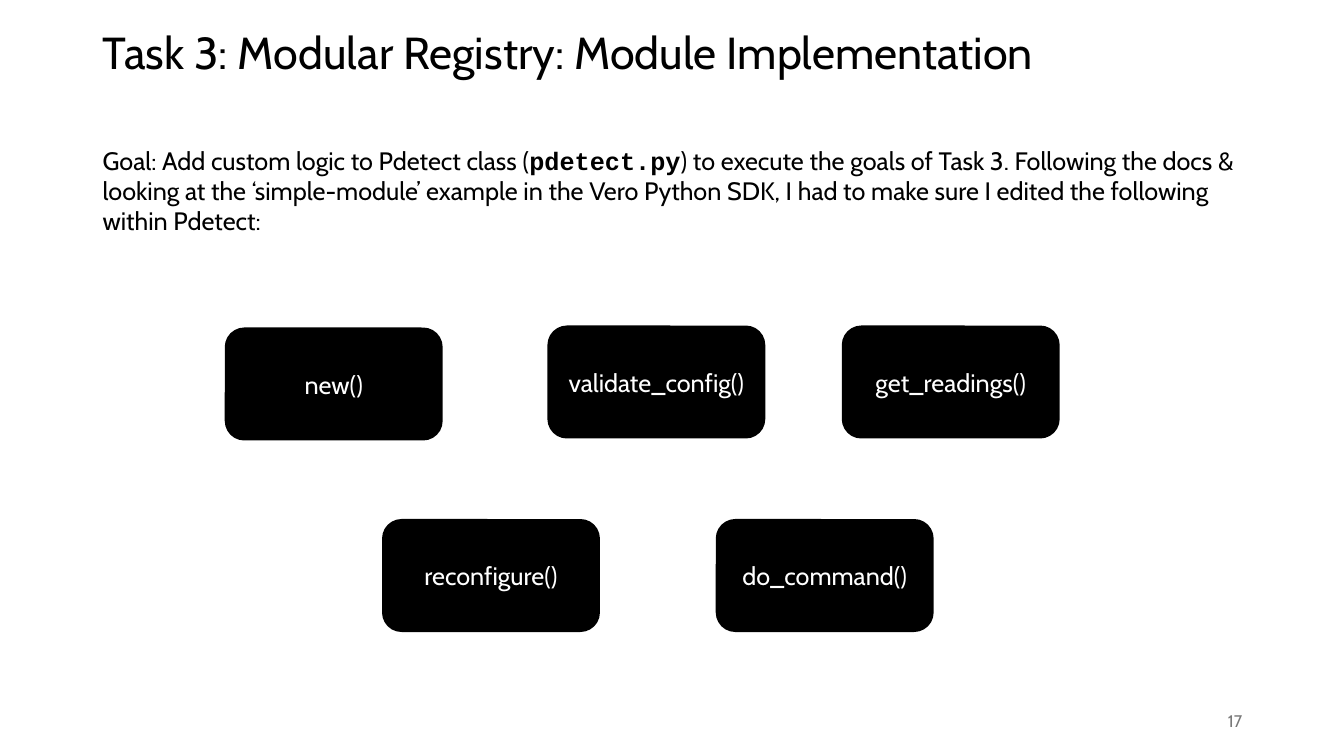
from pptx import Presentation
from pptx.dml.color import RGBColor
from pptx.enum.shapes import MSO_SHAPE
from pptx.enum.text import MSO_ANCHOR, MSO_AUTO_SIZE, PP_ALIGN
from pptx.util import Pt

ROUNDED = MSO_SHAPE.ROUNDED_RECTANGLE
TOP, MIDDLE = MSO_ANCHOR.TOP, MSO_ANCHOR.MIDDLE
LEFT, CENTER, RIGHT = PP_ALIGN.LEFT, PP_ALIGN.CENTER, PP_ALIGN.RIGHT
NO_FIT = MSO_AUTO_SIZE.NONE

BLACK = RGBColor(0x00, 0x00, 0x00)
WHITE = RGBColor(0xFF, 0xFF, 0xFF)
GREY = RGBColor(0x79, 0x79, 0x79)

PX = 9144
SLIDE_W, SLIDE_H = 1333, 750
MARGIN, CONTENT_W = 92, 1150
BOX_W, BOX_H = 214, 110
TITLE = "Task 3: Modular Registry: Module Implementation"
GOAL = [
    ("Goal: Add custom logic to Pdetect class (", {}),
    ("pdetect.py", {"name": "Courier New", "bold": True}),
    (") to execute the goals of Task 3. Following the docs & looking at the "
     "‘simple-module’ example in the Vero Python SDK, I had to make sure I "
     "edited the following within Pdetect:", {}),
]
METHODS = [
    ("new()", 224, 326),
    ("validate_config()", 544, 324),
    ("get_readings()", 836, 324),
    ("reconfigure()", 380, 516),
    ("do_command()", 711, 516),
]


class Deck:
    font = "Cabin"

    def __init__(self):
        self.prs = Presentation()
        self.prs.slide_width = SLIDE_W * PX
        self.prs.slide_height = SLIDE_H * PX
        self.s = self.prs.slides.add_slide(self.prs.slide_layouts[5])

    def fill_text(self, sp, runs, size, color, align=LEFT, anchor=MIDDLE):
        tf = sp.text_frame
        frame = {"word_wrap": True, "auto_size": NO_FIT, "vertical_anchor": anchor}
        for key, value in frame.items():
            setattr(tf, key, value)
        p = tf.paragraphs[0]
        p.alignment = align
        for text, extra in runs:
            r = p.add_run()
            r.text = text
            style = {"name": self.font, "size": Pt(size), "bold": False, **extra}
            for key, value in style.items():
                setattr(r.font, key, value)
            r.font.color.rgb = color
        return p

    def title(self, text, x, y, w, h):
        sp = self.s.shapes.title
        place = {"left": x, "top": y, "width": w, "height": h}
        for key, value in place.items():
            setattr(sp, key, value * PX)
        p = self.fill_text(sp, [(text, {})], 32, BLACK)
        p.line_spacing = 0.9

    def text(self, runs, x, y, w, h, size=18, color=BLACK, align=LEFT, anchor=TOP):
        sp = self.s.shapes.add_textbox(x * PX, y * PX, w * PX, h * PX)
        self.fill_text(sp, runs, size, color, align, anchor)

    def box(self, label, x, y):
        sp = self.s.shapes.add_shape(ROUNDED, x * PX, y * PX, BOX_W * PX, BOX_H * PX)
        sp.shadow.inherit = False
        sp.fill.solid()
        sp.fill.fore_color.rgb = BLACK
        sp.line.color.rgb = BLACK
        sp.line.width = Pt(1.5)
        self.fill_text(sp, [(label, {})], 18, WHITE, CENTER)


def main():
    deck = Deck()
    deck.title(TITLE, MARGIN, -18, CONTENT_W, 145)
    deck.text(GOAL, MARGIN, 139, CONTENT_W, 101)
    for label, x, y in METHODS:
        deck.box(label, x, y)
    deck.text([("17", {})], 942, 695, 300, 40, 12, GREY, RIGHT, MIDDLE)
    deck.prs.save("out.pptx")


if __name__ == "__main__":
    main()
